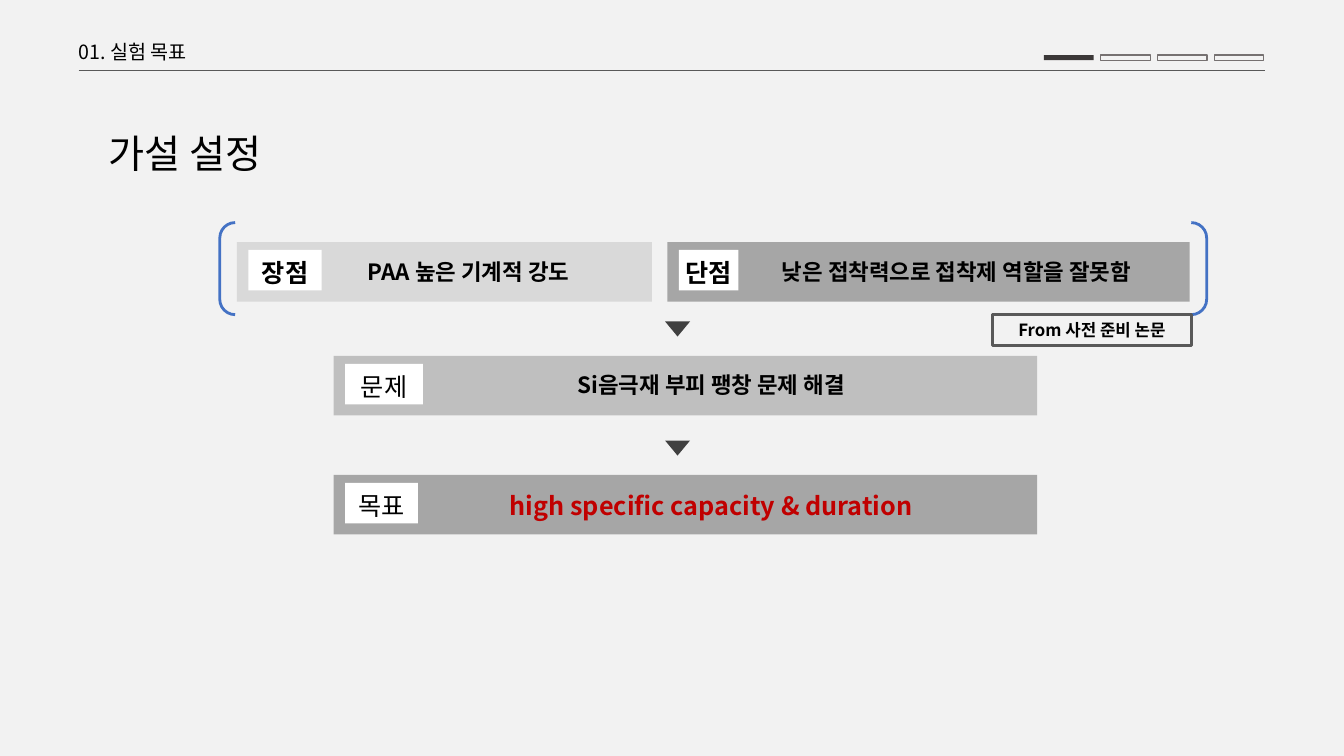
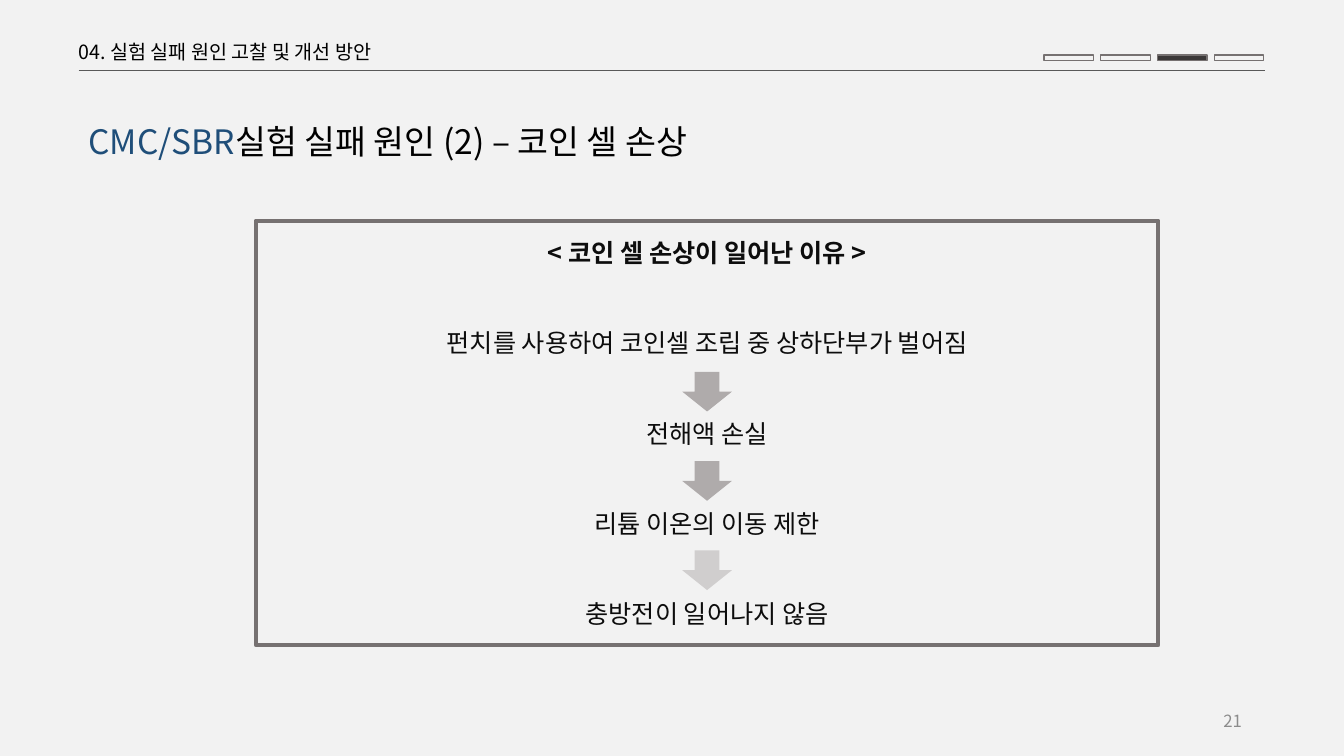
from dataclasses import dataclass

from lxml import etree
from pptx import Presentation
from pptx.dml.color import RGBColor
from pptx.enum.shapes import MSO_CONNECTOR, MSO_SHAPE
from pptx.enum.text import MSO_ANCHOR, PP_ALIGN
from pptx.oxml.ns import qn
from pptx.util import Cm, Pt

RECTANGLE = MSO_SHAPE.RECTANGLE
TRIANGLE = MSO_SHAPE.ISOSCELES_TRIANGLE
DOWN_ARROW = MSO_SHAPE.DOWN_ARROW
BRACKETS = MSO_SHAPE.DOUBLE_BRACKET
STRAIGHT = MSO_CONNECTOR.STRAIGHT
LEFT, CENTER, RIGHT = PP_ALIGN.LEFT, PP_ALIGN.CENTER, PP_ALIGN.RIGHT
TOP, MIDDLE = MSO_ANCHOR.TOP, MSO_ANCHOR.MIDDLE


@dataclass(frozen=True)
class Theme:
    font: str = "Noto Sans CJK KR"
    # Colours
    background: str = "F2F2F2"
    text: str = "000000"
    soft_text: str = "0D0D0D"
    page_number: str = "8C8C8C"
    highlight: str = "C00000"
    navy: str = "1F4E79"
    bracket: str = "4472C4"
    rule: str = "595959"
    outline: str = "767171"
    progress: str = "3B3838"
    pointer: str = "404040"
    tag: str = "FFFFFF"
    bar_light: str = "D9D9D9"
    bar_medium: str = "BFBFBF"
    bar_dark: str = "A6A6A6"
    arrow: str = "AFABAB"
    arrow_light: str = "D0CECE"
    # Type sizes in points
    title: int = 28
    long_title: int = 24
    label: int = 18
    statement: int = 16
    section: int = 14
    small: int = 12


THEME = Theme()


@dataclass(frozen=True)
class Bar:
    box: tuple
    fill: str
    label: str
    tag_width: float
    statement: str
    statement_left: float
    statement_width: float
    label_bold: bool = False
    color: str = THEME.text
    size: int = THEME.statement


# Shared building blocks; every box is (left, top, width, height) in cm
def lengths(box):
    return [Cm(value) for value in box]


def add_run(paragraph, text, size, color=THEME.text, bold=False):
    run = paragraph.add_run()
    run.text = text
    font = run.font
    font.size, font.bold, font.name = Pt(size), bold, THEME.font
    font.color.rgb = RGBColor.from_string(color)
    # Hangul takes its typeface from the East Asian slot
    properties = run._r.get_or_add_rPr()
    east_asian = etree.Element(qn("a:ea"), typeface=THEME.font)
    properties.find(qn("a:latin")).addnext(east_asian)


def add_text(slide, box, runs, align=LEFT, anchor=TOP, line_spacing=None):
    frame = slide.shapes.add_textbox(*lengths(box)).text_frame
    frame.word_wrap = True
    frame.vertical_anchor = anchor
    paragraph = frame.paragraphs[0]
    paragraph.alignment = align
    if line_spacing:
        paragraph.line_spacing = line_spacing
    for run in runs:
        add_run(paragraph, *run)


def add_figure(slide, kind, box, fill=None, line=None, line_width=1):
    shape = slide.shapes.add_shape(kind, *lengths(box))
    shape.shadow.inherit = False
    if fill:
        shape.fill.solid()
        shape.fill.fore_color.rgb = RGBColor.from_string(fill)
    else:
        shape.fill.background()
    if line:
        shape.line.color.rgb = RGBColor.from_string(line)
        shape.line.width = Pt(line_width)
    else:
        shape.line.fill.background()
    return shape


def add_header(slide, section, active, outline_active):
    # Rule under the section name
    rule = slide.shapes.add_connector(STRAIGHT, *lengths((1.98, 1.78, 31.88, 1.78)))
    rule.line.color.rgb = RGBColor.from_string(THEME.rule)
    rule.line.width = Pt(1)
    etree.SubElement(rule._element.spPr, qn("a:effectLst"))
    # Progress marks
    for index in range(4):
        is_active = index == active
        add_figure(
            slide, RECTANGLE, (26.31 + 1.43 * index, 1.39, 1.25, 0.13),
            fill=THEME.progress if is_active else None,
            line=THEME.outline if outline_active or not is_active else None,
        )
    add_text(slide, (1.73, 0.88, 12, 0.86), [(section, THEME.section)])


def add_title(slide, box, runs):
    add_text(slide, box, runs, line_spacing=1.5)


def new_slide(presentation):
    slide = presentation.slides.add_slide(presentation.slide_layouts[6])
    slide.background.fill.solid()
    slide.background.fill.fore_color.rgb = RGBColor.from_string(THEME.background)
    return slide


# Bar with a white tag and a statement
def add_bar(slide, bar):
    left, top, _, _ = bar.box
    add_figure(slide, RECTANGLE, bar.box, fill=bar.fill)
    tag_box = (left + 0.29, top + 0.2, bar.tag_width, 1.02)
    frame = add_figure(slide, RECTANGLE, tag_box, fill=THEME.tag).text_frame
    frame.margin_left = frame.margin_right = frame.margin_bottom = 0
    frame.margin_top = Cm(0.1)
    frame.word_wrap = False
    frame.vertical_anchor = MIDDLE
    paragraph = frame.paragraphs[0]
    paragraph.alignment = CENTER
    add_run(paragraph, bar.label, THEME.label, bold=bar.label_bold)
    add_text(
        slide, (left + bar.statement_left, top + 0.27, bar.statement_width, 0.94),
        [(bar.statement, bar.size, bar.color, True)], CENTER,
    )


def add_source_note(slide, box, text):
    frame = add_figure(slide, RECTANGLE, box, line=THEME.rule, line_width=2).text_frame
    frame.word_wrap = True
    frame.vertical_anchor = MIDDLE
    paragraph = frame.paragraphs[0]
    paragraph.alignment = CENTER
    add_run(paragraph, text, THEME.small, bold=True)


# Framed chain of causes with arrows between the steps
def add_cause_chain(slide, box, heading, steps, arrow_colors):
    left, top, width, _ = box
    frame = add_figure(slide, RECTANGLE, box, line=THEME.outline, line_width=3).text_frame
    frame.word_wrap = True
    frame.vertical_anchor = MIDDLE
    for index, text in enumerate([heading, *steps]):
        paragraph = frame.add_paragraph() if index else frame.paragraphs[0]
        paragraph.alignment = CENTER
        if index:
            paragraph.space_before = Pt(43)
        add_run(paragraph, text, THEME.label, THEME.soft_text, bold=index == 0)
    arrow_width = 1.25
    arrow_left = left + (width - arrow_width) / 2
    for index, color in enumerate(arrow_colors):
        arrow_box = (arrow_left, top + 3.81 + 2.25 * index, arrow_width, 1)
        add_figure(slide, DOWN_ARROW, arrow_box, fill=color)


def build_hypothesis(presentation):
    slide = new_slide(presentation)
    add_header(slide, "01. 실험 목표", active=0, outline_active=False)
    add_title(slide, (2.49, 2.54, 9.8, 1.88), [("가설 설정", THEME.title)])
    bars = [
        Bar((5.97, 6.1, 10.46, 1.5), THEME.bar_light, "장점", 1.85,
            "PAA 높은 기계적 강도", 1.37, 8.94, label_bold=True),
        Bar((16.82, 6.1, 13.16, 1.5), THEME.bar_dark, "단점", 1.5,
            "낮은 접착력으로 접착제 역할을 잘못함", 1.8, 10.97, label_bold=True),
        Bar((8.41, 8.97, 17.73, 1.5), THEME.bar_medium, "문제", 1.96,
            "Si음극재 부피 팽창 문제 해결", 1.88, 15.27),
        Bar((8.41, 11.97, 17.73, 1.5), THEME.bar_dark, "목표", 1.83,
            "high specific capacity & duration", 1.88, 15.27,
            color=THEME.highlight, size=THEME.label),
    ]
    for bar in bars:
        add_bar(slide, bar)
    # Pointers between the rows
    for top in (8.1, 11.1):
        pointer = add_figure(slide, TRIANGLE, (16.76, top, 0.63, 0.38), fill=THEME.pointer)
        pointer.rotation = 180
    # Brackets around the first row and its source
    add_figure(slide, BRACKETS, (5.54, 5.61, 24.87, 2.32), line=THEME.bracket, line_width=2)
    add_source_note(slide, (25.02, 7.93, 5, 0.77), "From 사전 준비 논문")


def build_failure_cause(presentation):
    slide = new_slide(presentation)
    add_header(slide, "04. 실험 실패 원인 고찰 및 개선 방안", active=2, outline_active=True)
    add_title(slide, (1.98, 2.41, 25, 1.6), [
        ("CMC/SBR", THEME.long_title, THEME.navy),
        ("실험 실패 원인 (2) – 코인 셀 손상", THEME.long_title),
    ])
    add_cause_chain(
        slide, (6.45, 5.56, 22.74, 10.7), "< 코인 셀 손상이 일어난 이유 >",
        ["펀치를 사용하여 코인셀 조립 중 상하단부가 벌어짐", "전해액 손실",
         "리튬 이온의 이동 제한", "충방전이 일어나지 않음"],
        [THEME.arrow, THEME.arrow, THEME.arrow_light],
    )
    # Page number
    add_text(slide, (23.93, 17.65, 7.62, 1.02),
             [("21", THEME.small, THEME.page_number)], RIGHT, MIDDLE)


def main():
    presentation = Presentation()
    presentation.slide_width, presentation.slide_height = Cm(33.87), Cm(19.05)
    build_hypothesis(presentation)
    build_failure_cause(presentation)
    presentation.save("out.pptx")


if __name__ == "__main__":
    main()
